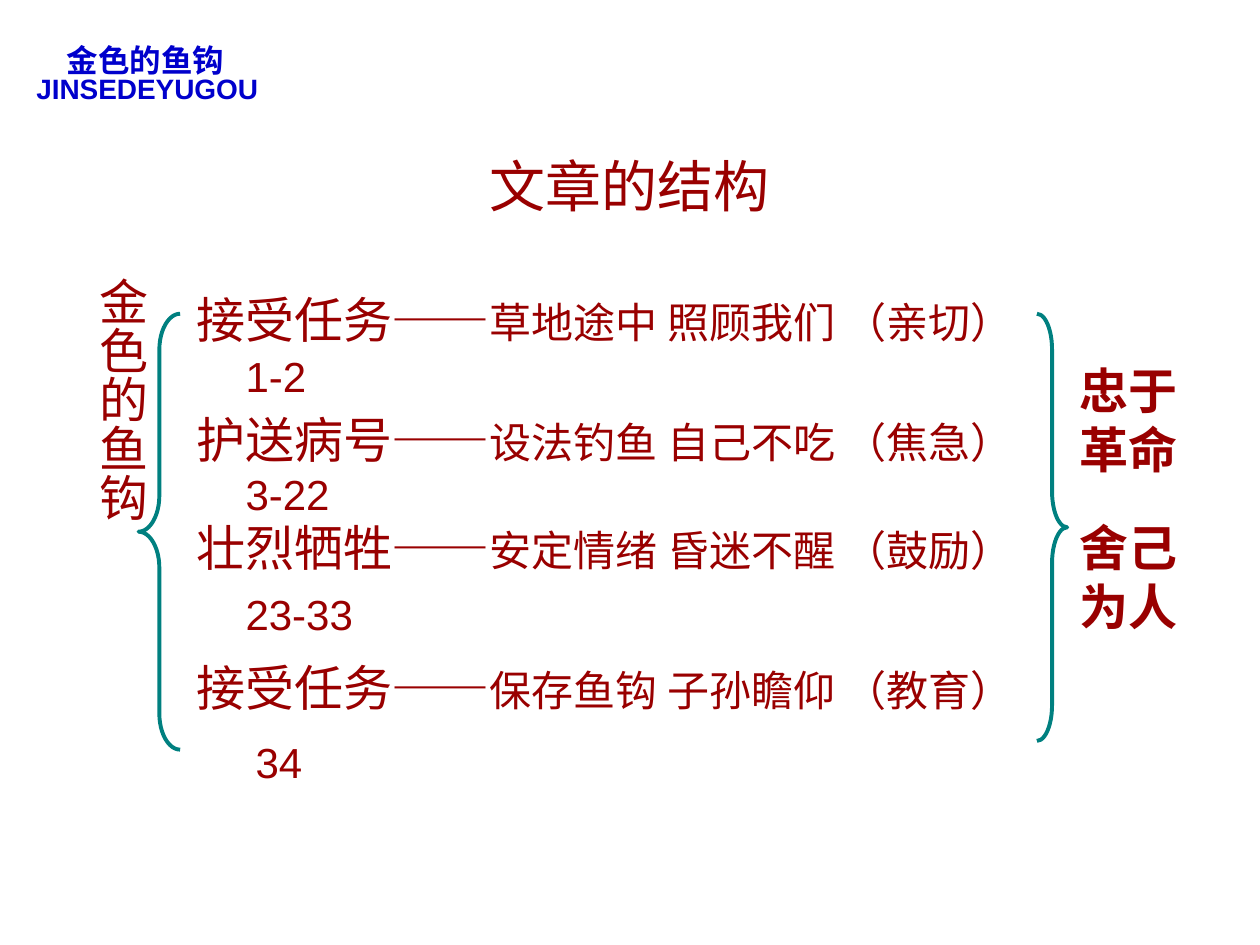
from dataclasses import dataclass
from typing import Any, NamedTuple

from lxml import etree
from pptx import Presentation
from pptx.dml.color import RGBColor
from pptx.enum.shapes import MSO_SHAPE
from pptx.enum.text import PP_ALIGN
from pptx.oxml.ns import qn
from pptx.util import Inches, Pt

LEFT, RIGHT = MSO_SHAPE.LEFT_BRACE, MSO_SHAPE.RIGHT_BRACE
MID = PP_ALIGN.CENTER
COLS, ROWS = 100, 75
WIDTH, HEIGHT = Inches(10), Inches(7.5)


@dataclass(frozen=True)
class Theme:
    red: RGBColor = RGBColor(0x99, 0, 0)
    blue: RGBColor = RGBColor(0, 0, 0xCC)
    teal: RGBColor = RGBColor(0, 0x80, 0x80)
    latin: str = "Arial"
    asian: str = "Noto Sans CJK SC"
    title: int = 32
    head: int = 28
    body: int = 24
    logo: int = 18
    small: int = 16
    line: float = 2.25


THEME = Theme()


class Box(NamedTuple):
    col: float
    row: float
    wide: float
    high: float

    def place(self) -> tuple[int, int, int, int]:
        return (int(WIDTH * self.col / COLS), int(HEIGHT * self.row / ROWS),
                int(WIDTH * self.wide / COLS), int(HEIGHT * self.high / ROWS))


@dataclass
class Label:
    text: str
    box: Box
    size: int = THEME.head
    color: RGBColor = THEME.red
    bold: bool = False
    align: Any = None
    upright: bool = False


class Part(NamedTuple):
    name: str
    plot: str
    row: float
    pages: str
    left: float
    below: float


class Brace(NamedTuple):
    kind: Any
    box: Box
    curve: float


LABELS = [
    Label("金色的鱼钩", Box(4.3, 2.8, 17.3, 4), THEME.logo, THEME.blue, True),
    Label("JINSEDEYUGOU", Box(1.9, 5.2, 19.7, 3.7), THEME.small, THEME.blue, True),
    Label("文章的结构", Box(19.3, 11.5, 61.4, 6.4), THEME.title, align=MID),
    Label("金色的鱼钩", Box(5.9, 21, 6.6, 42.5), align=MID, upright=True),
    Label("忠于革命", Box(84.7, 28.1, 13.4, 10.4), bold=True),
    Label("舍己为人", Box(84.7, 40.6, 13.4, 10.4), bold=True),
]
PARTS = [
    Part("接受任务", "草地途中 照顾我们 （亲切）", 22.5, "1-2", 18.5, 27.3),
    Part("护送病号", "设法钓鱼 自己不吃 （焦急）", 32, "3-22", 18.5, 36.7),
    Part("壮烈牺牲", "安定情绪 昏迷不醒 （鼓励）", 40.6, "23-33", 18.5, 46.2),
    Part("接受任务", "保存鱼钩 子孙瞻仰 （教育）", 51.7, "34", 19.3, 58),
]
BRACES = [
    Brace(LEFT, Box(11, 24.9, 3.3, 34.6), 0.87),
    Brace(RIGHT, Box(82.3, 24.9, 2.4, 33.9), 1.18),
]


def style(font: Any, size: int, color: RGBColor, bold: bool = False,
          face: str = THEME.latin) -> None:
    font.size, font.bold, font.name = Pt(size), bold, face
    font.color.rgb = color
    etree.SubElement(font._rPr, qn("a:ea")).set("typeface", THEME.asian)


def frame(slide: Any, box: Box) -> Any:
    text = slide.shapes.add_textbox(*box.place()).text_frame
    text.word_wrap = True
    return text


def write(slide: Any, label: Label) -> None:
    text = frame(slide, label.box)
    if label.upright:
        text._txBody.bodyPr.set("vert", "eaVert")
        text.margin_left = text.margin_right = Inches(0.05)
        text.margin_top = text.margin_bottom = Inches(0.1)
    para = text.paragraphs[0]
    para.text, para.alignment = label.text, label.align
    style(para.font, label.size, label.color, label.bold)


def outline(slide: Any, part: Part) -> None:
    para = frame(slide, Box(14.6, part.row, 80.3, 5.7)).paragraphs[0]
    for words, size, face in ((part.name + "——", THEME.head, THEME.latin),
                              (part.plot, THEME.body, THEME.asian)):
        run = para.add_run()
        run.text = words
        style(run.font, size, THEME.red, face=face)
    write(slide, Label(part.pages, Box(part.left, part.below, 14.9, 5), THEME.body))


def embrace(slide: Any, brace: Brace) -> None:
    shape = slide.shapes.add_shape(brace.kind, *brace.box.place())
    shape.adjustments[0] = brace.curve
    shape.shadow.inherit = False
    shape.fill.background()
    shape.line.color.rgb = THEME.teal
    shape.line.width = Pt(THEME.line)


def main() -> None:
    deck = Presentation()
    deck.slide_width, deck.slide_height = WIDTH, HEIGHT
    slide = deck.slides.add_slide(deck.slide_layouts[6])
    for label in LABELS:
        write(slide, label)
    for part in PARTS:
        outline(slide, part)
    for brace in BRACES:
        embrace(slide, brace)
    deck.save("out.pptx")


if __name__ == "__main__":
    main()
